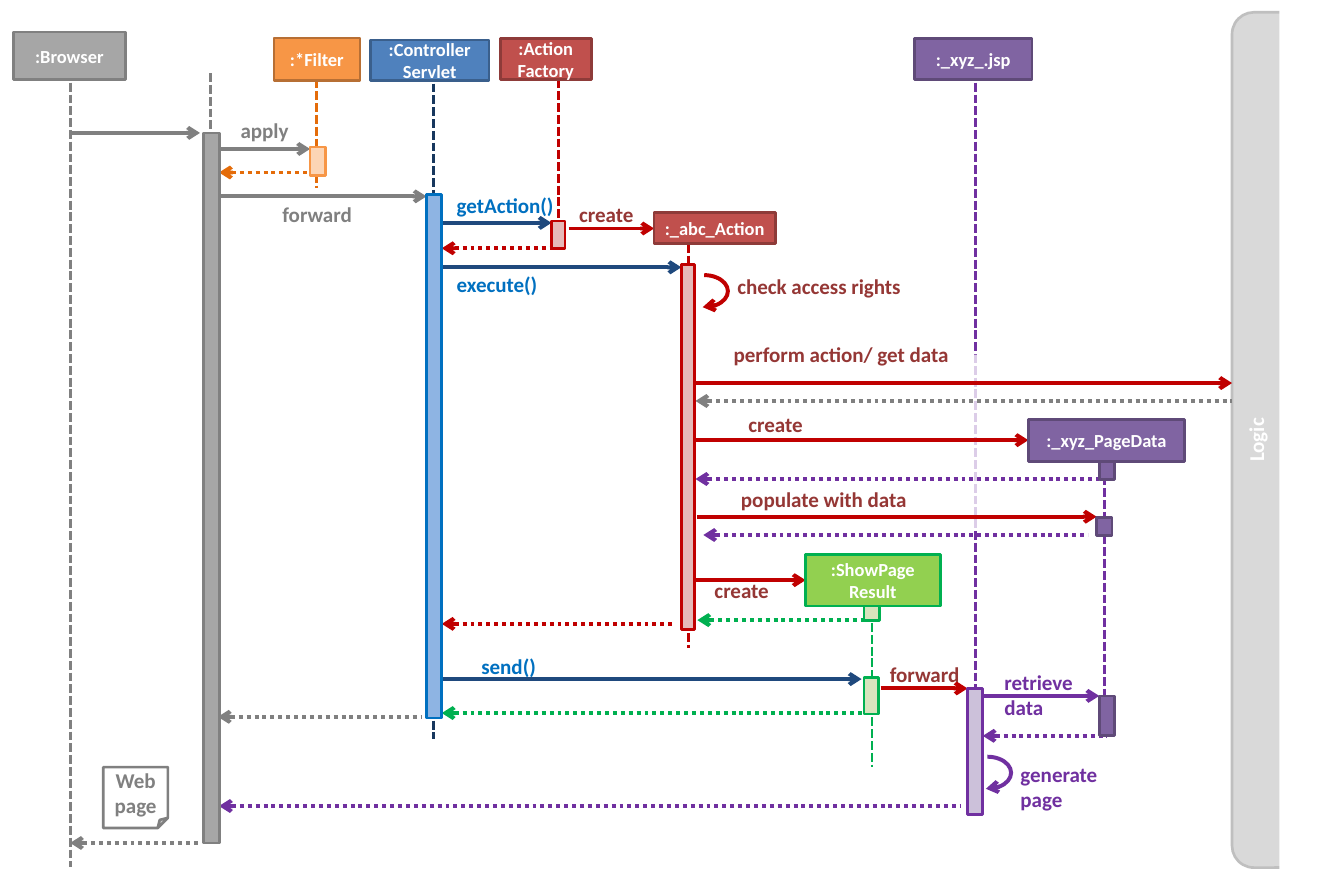
"""Draw a sequence diagram of a web request with python-pptx."""
from typing import Any, NamedTuple, Optional

from lxml.etree import SubElement
from pptx import Presentation
from pptx.dml.color import RGBColor
from pptx.enum.dml import MSO_LINE as Dash
from pptx.enum.shapes import MSO_CONNECTOR, MSO_SHAPE as Geo
from pptx.enum.text import MSO_ANCHOR as Anchor, PP_ALIGN as Align
from pptx.oxml.ns import qn
from pptx.util import Cm, Pt

WHITE, GRAY, SILVER = "FFFFFF", "808080", "A6A6A6"
RED, ROSE, BRICK, DARK_BRICK, MAROON = "C00000", "E6B9B8", "C0504D", "8E3B39", "953735"
PURPLE, VIOLET, DARK_VIOLET, LILAC = "7030A0", "8064A2", "5F4A78", "CCC1DA"
NAVY, BLUE, GREEN, PALE_GREEN = "1F497D", "0070C0", "00B050", "D7E4BD"
ORANGE, AMBER = "E46C0A", "F79646"
FONT = {"name": "Calibri", "bold": True}
LABEL_FONT = {**FONT, "size": Pt(16)}
HEAD_FONT = {**FONT, "size": Pt(14)}
FRAME = {"word_wrap": True, "vertical_anchor": Anchor.MIDDLE}
HEAD_FRAME = {**FRAME, "margin_left": Cm(0.1), "margin_right": Cm(0.1)}
TOP_FRAME = {**FRAME, "vertical_anchor": Anchor.TOP}


class Lifeline(NamedTuple):
    x: float
    top: float
    bottom: float
    color: str


class Message(NamedTuple):
    left: float
    right: float
    y: float
    color: str
    reply: bool = False


class Box(NamedTuple):
    x: float
    y: float
    w: float
    h: float
    fill: Optional[str]
    line: Optional[str]
    text: str = ""
    geo: Any = Geo.RECTANGLE


class Label(NamedTuple):
    x: float
    y: float
    w: float
    text: str
    color: str
    h: float = 0.94


LIFELINES = [
    Lifeline(29.59, 12.45, 19.35, PURPLE), Lifeline(26.14, 1.9, 21.67, PURPLE),
    Lifeline(1.88, 1.9, 23.22, GRAY), Lifeline(5.64, 1.96, 15.37, GRAY),
    Lifeline(8.48, 2.13, 5.03, ORANGE), Lifeline(18.44, 6.53, 17.37, RED),
    Lifeline(23.37, 15.11, 20.55, GREEN), Lifeline(11.61, 2.24, 19.79, "17375E"),
    Lifeline(14.96, 2.13, 6.65, RED),
]
MESSAGES = [
    Message(1.88, 5.36, 3.56, GRAY), Message(5.59, 8.31, 3.99, GRAY),
    Message(5.87, 8.31, 4.62, ORANGE, True), Message(5.59, 11.43, 5.26, GRAY),
    Message(11.76, 14.78, 5.97, NAVY), Message(15.24, 17.53, 6.12, RED),
    Message(11.84, 14.96, 6.65, RED, True), Message(11.84, 18.26, 7.16, NAVY),
    Message(18.47, 33.02, 10.26, RED), Message(18.64, 33.02, 10.74, GRAY, True),
    Message(18.64, 27.56, 11.79, RED), Message(18.64, 29.46, 12.83, PURPLE, True),
    Message(18.69, 29.39, 13.84, RED), Message(18.85, 29.16, 14.33, PURPLE, True),
    Message(18.34, 21.59, 15.54, RED), Message(18.69, 23.16, 16.61, GREEN, True),
    Message(11.84, 18.01, 16.71, RED, True), Message(11.66, 23.09, 18.19, NAVY),
    Message(23.6, 25.93, 18.44, RED), Message(26.14, 29.46, 18.64, PURPLE),
    Message(11.84, 23.37, 19.1, GREEN, True), Message(5.84, 11.3, 19.2, GRAY, True),
    Message(26.34, 29.67, 19.71, PURPLE, True), Message(5.87, 25.76, 21.59, PURPLE, True),
    Message(1.88, 5.36, 22.58, GRAY, True),
]
ACTIVATIONS = [
    Box(8.31, 3.94, 0.41, 0.76, "FCD5B5", AMBER), Box(5.46, 3.56, 0.43, 19.02, SILVER, GRAY),
    Box(18.26, 7.09, 0.36, 9.78, ROSE, RED), Box(14.78, 5.92, 0.36, 0.74, ROSE, RED),
    Box(25.93, 18.44, 0.41, 3.38, LILAC, PURPLE),
    Box(29.46, 18.64, 0.41, 1.07, VIOLET, DARK_VIOLET),
    Box(29.39, 13.87, 0.41, 0.48, VIOLET, DARK_VIOLET),
    Box(29.46, 12.37, 0.41, 0.48, VIOLET, DARK_VIOLET),
    Box(23.16, 16.15, 0.41, 0.48, PALE_GREEN, GREEN),
    Box(23.16, 18.14, 0.38, 0.99, PALE_GREEN, GREEN),
    Box(11.43, 5.21, 0.41, 14.02, "8EB4E3", BLUE),
]
HEADS = [
    Box(0.36, 0.86, 3, 1.27, SILVER, GRAY, ":Browser"),
    Box(7.34, 1.02, 2.31, 1.14, AMBER, "B76F34", ":*Filter"),
    Box(9.93, 1.07, 3.18, 1.09, "4F81BD", "3A5F8C", ":Controller\vServlet"),
    Box(13.41, 1.04, 2.44, 1.09, BRICK, DARK_BRICK, ":Action\vFactory"),
    Box(24.51, 1.04, 3.15, 1.09, VIOLET, DARK_VIOLET, ":_xyz_.jsp"),
    Box(17.53, 5.69, 3.25, 0.84, BRICK, DARK_BRICK, ":_abc_Action"),
    Box(27.56, 11.23, 4.19, 1.14, VIOLET, DARK_VIOLET, ":_xyz_PageData"),
    Box(21.59, 14.86, 3.61, 1.37, "92D050", GREEN, ":ShowPage\vResult"),
]
SELF_CALLS = [
    Box(18.24, 7.37, 1.27, 0.86, None, RED, geo=Geo.ARC),
    Box(25.83, 20.27, 1.27, 0.86, None, PURPLE, geo=Geo.ARC),
]
LABELS = [
    Label(6.2, 3.02, 2.03, "apply", GRAY), Label(7.32, 5.26, 2.51, "forward", GRAY),
    Label(11.99, 5.03, 3.3, "getAction()", BLUE), Label(11.99, 7.14, 3.15, "execute()", BLUE),
    Label(15.27, 5.26, 2.16, "create", MAROON),
    Label(19.51, 7.21, 5.1, "check access rights", MAROON),
    Label(19.41, 9.02, 8.74, "perform action/ get data", MAROON),
    Label(19.81, 10.9, 2.16, "create", MAROON),
    Label(19.61, 12.9, 6.45, "populate with data", MAROON),
    Label(18.9, 15.34, 2.16, "create", MAROON), Label(12.65, 17.37, 3.15, "send()", BLUE),
    Label(23.6, 17.58, 2.59, "forward", MAROON),
    Label(26.67, 17.81, 2.79, "retrieve data", PURPLE, 1.63),
    Label(27.1, 20.27, 2.79, "generate page", PURPLE, 1.63),
]


def paint(fill: Any, color: Optional[str]) -> None:
    """Make a fill solid in a hex colour, or empty."""
    if color is None:
        fill.background()
    else:
        fill.solid()
        fill.fore_color.rgb = RGBColor.from_string(color)


def apply(target: Any, formats: dict) -> None:
    """Set every format value on the target."""
    for name, value in formats.items():
        setattr(target, name, value)


def write(sp: Any, text: str, color: str, font: dict, frame: dict, align: Any) -> None:
    """Write one formatted paragraph into a shape."""
    tf = sp.text_frame
    apply(tf, frame)
    p = tf.paragraphs[0]
    p.text, p.alignment = text, align
    for r in p.runs:
        apply(r.font, font)
        paint(r.font.fill, color)


def add_arrowhead(sp: Any, end: str) -> None:
    """Put an open arrowhead on the given end of a line."""
    SubElement(sp.get_or_add_ln(), qn(f"a:{end}"), type="arrow")


def add_line(x1: float, y1: float, x2: float, y2: float, color: str, width: float, dash: Any) -> Any:
    """Add a straight connector without shadow."""
    sp = slide.shapes.add_connector(MSO_CONNECTOR.STRAIGHT, Cm(x1), Cm(y1), Cm(x2), Cm(y2))
    paint(sp.line.fill, color)
    apply(sp.line, {"width": Pt(width), "dash_style": dash})
    SubElement(sp.element.spPr, qn("a:effectLst"))
    return sp


def add_message(m: Message) -> None:
    """Add a solid call or a dotted reply."""
    sp = add_line(m.left, m.y, m.right, m.y, m.color, 3, Dash.ROUND_DOT if m.reply else None)
    add_arrowhead(sp, "headEnd" if m.reply else "tailEnd")


def add_box(b: Box, text_color: str = WHITE, font: dict = HEAD_FONT, frame: dict = HEAD_FRAME) -> Any:
    """Add a preset shape with optional centred text."""
    sp = slide.shapes.add_shape(b.geo, Cm(b.x), Cm(b.y), Cm(b.w), Cm(b.h))
    sp.shadow.inherit = False
    paint(sp.fill, b.fill)
    paint(sp.line.fill, b.line)
    if b.line:
        sp.line.width = Pt(2)
    if b.text:
        write(sp, b.text, text_color, font, frame, Align.CENTER)
    return sp


def add_self_call(b: Box) -> None:
    """Add a half-turn arrow back to the same lifeline."""
    sp = add_box(b)
    sp.adjustments[0], sp.adjustments[1] = 162, 57.21
    sp.line.width = Pt(3)
    add_arrowhead(sp, "tailEnd")


def add_label(t: Label) -> None:
    """Add a message label."""
    sp = slide.shapes.add_textbox(Cm(t.x), Cm(t.y), Cm(t.w), Cm(t.h))
    write(sp, t.text, t.color, LABEL_FONT, TOP_FRAME, Align.LEFT)


prs = Presentation()
prs.slide_width, prs.slide_height = Cm(36.02), Cm(24)
slide = prs.slides.add_slide(prs.slide_layouts[6])

for life in LIFELINES:
    add_line(life.x, life.top, life.x, life.bottom, life.color, 2.25, Dash.SQUARE_DOT)
veil = add_box(Box(25.93, 9.5, 0.53, 4.7, WHITE, None, geo=Geo.ROUNDED_RECTANGLE))
SubElement(veil.element.spPr.find(f".//{qn('a:srgbClr')}"), qn("a:alpha"), val="76000")
logic = add_box(Box(33.02, 0.33, 2.54, 22.91, "D9D9D9", "BFBFBF", "Logic", Geo.ROUNDED_RECTANGLE),
                font=LABEL_FONT, frame=TOP_FRAME)
logic.adjustments[0] = 0.23
logic.text_frame._txBody.bodyPr.set("vert", "vert270")
add_box(Box(34.29, 0, 1.73, 24, WHITE, None))
for items, draw in ((MESSAGES, add_message), (ACTIVATIONS, add_box), (HEADS, add_box),
                    (SELF_CALLS, add_self_call), (LABELS, add_label)):
    for item in items:
        draw(item)
add_box(Box(2.77, 20.55, 1.73, 1.63, WHITE, GRAY, "Web page", Geo.FOLDED_CORNER), GRAY, LABEL_FONT)

prs.save("out.pptx")
